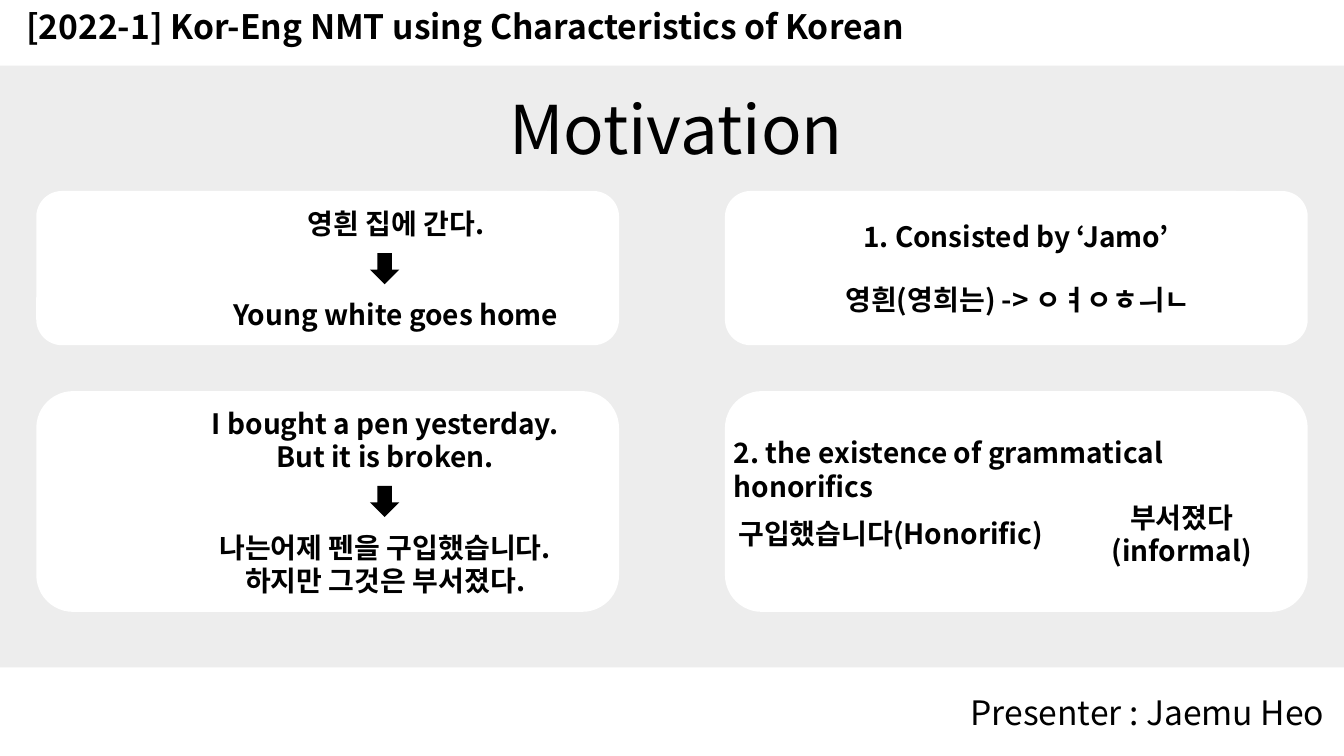
from dataclasses import dataclass
from itertools import product

from lxml import etree
from pptx import Presentation, util as u
from pptx.dml.color import RGBColor
from pptx.enum import shapes, text
from pptx.oxml.ns import qn

WIDE, HIGH = u.Inches(13.33), u.Inches(7.5)
FACE = "Noto Sans CJK KR"
HUES = {"ink": "000000", "card": "FFFFFF", "band": "EDEDED"}
KIND = shapes.MSO_SHAPE
SIDE = text.PP_ALIGN
HOLD = text.MSO_ANCHOR


@dataclass
class Area:
    mid: float
    top: float
    wide: float
    high: float

    def box(self) -> tuple[int, int, int, int]:
        left = self.mid - self.wide / 2
        return (
            round(WIDE * left / 100),
            round(HIGH * self.top / 100),
            round(WIDE * self.wide / 100),
            round(HIGH * self.high / 100),
        )


@dataclass
class Label:
    words: str
    area: Area
    size: int = 20
    bold: bool = True
    align: SIDE = SIDE.CENTER
    hold: HOLD = HOLD.MIDDLE
    pad: tuple[float, float] = (0.06, 0.06)
    space: float = 1.0


def paint(slide, kind: KIND, area: Area, hue: str) -> None:
    shape = slide.shapes.add_shape(kind, *area.box())
    shape.shadow.inherit = False
    shape.fill.solid()
    shape.fill.fore_color.rgb = RGBColor.from_string(HUES[hue])
    shape.line.fill.background()


def write(slide, label: Label) -> None:
    frame = slide.shapes.add_textbox(*label.area.box()).text_frame
    frame.word_wrap = True
    frame.vertical_anchor = label.hold
    frame.margin_left = frame.margin_right = u.Inches(label.pad[0])
    frame.margin_top = frame.margin_bottom = u.Inches(label.pad[1])
    para = frame.paragraphs[0]
    para.text = label.words
    para.alignment = label.align
    para.line_spacing = label.space
    para.font.size = u.Pt(label.size)
    para.font.bold = label.bold
    para.font.color.rgb = RGBColor.from_string(HUES["ink"])
    para.font.name = FACE
    latin = para._p.find(".//" + qn("a:latin"))
    east = etree.Element(qn("a:ea"), typeface=FACE)
    latin.addnext(east)


BAND = Area(50, 8.67, 100, 79.6)
COLS = (24.38, 75.62)
ROWS = ((25.27, 20.4), (51.73, 29.2))
DROPS = (33.47, 64.27)
LINE, PAIR = 6, 10.53
EDGE = (0.1, 0.05)

LABELS = (
    Label("[2022-1] Kor-Eng NMT using Characteristics of Korean",
          Area(34.77, 1.33, 67.14, 4.8), 24, align=SIDE.LEFT, pad=EDGE, space=0.9),
    Label("Presenter : Jaemu Heo", Area(77.61, 90.8, 43.29, 6.67), 24, False,
          SIDE.RIGHT, HOLD.TOP, EDGE),
    Label("Motivation", Area(50.3, 10.93, 95.2, 12.13), 48, False,
          hold=HOLD.TOP, pad=EDGE),
    Label("영흰 집에 간다.", Area(29.48, 26.53, 19.8, LINE)),
    Label("Young white goes home", Area(29.45, 38.53, 27.23, LINE)),
    Label("I bought a pen yesterday. But it is broken.",
          Area(28.66, 52.93, 27.01, PAIR)),
    Label("나는어제 펜을 구입했습니다. 하지만 그것은 부서졌다.",
          Area(28.66, 69.33, 28.66, PAIR)),
    Label("1. Consisted by ‘Jamo’", Area(75.58, 28.27, 31.88, LINE)),
    Label("영흰(영희는) -> ㅇㅕㅇㅎㅢㄴ", Area(75.73, 36.53, 31.88, LINE)),
    Label("2. the existence of grammatical honorifics",
          Area(75.73, 59.07, 43.14, LINE), align=SIDE.LEFT),
    Label("구입했습니다(Honorific)", Area(66.28, 67.6, 23.78, LINE)),
    Label("부서졌다(informal)", Area(87.92, 67.6, 18.45, LINE)),
)


def main() -> None:
    deck = Presentation()
    deck.slide_width, deck.slide_height = WIDE, HIGH
    slide = deck.slides.add_slide(deck.slide_layouts[6])
    paint(slide, KIND.RECTANGLE, BAND, "band")
    for mid, (top, high) in product(COLS, ROWS):
        paint(slide, KIND.ROUNDED_RECTANGLE, Area(mid, top, 43.36, high), "card")
    for top in DROPS:
        paint(slide, KIND.DOWN_ARROW, Area(28.62, top, 2.18, 4.13), "ink")
    for label in LABELS:
        write(slide, label)
    deck.save("out.pptx")


if __name__ == "__main__":
    main()
